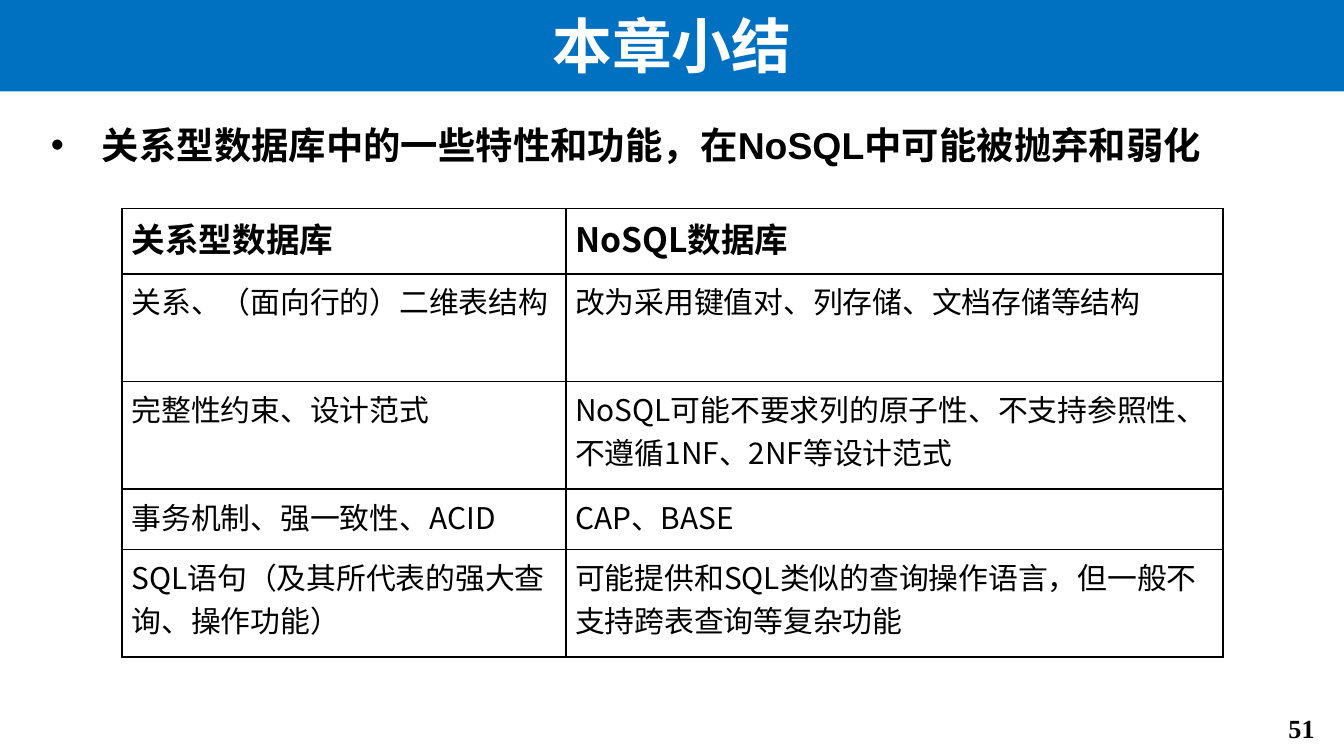
from dataclasses import dataclass

from lxml import etree
from pptx import Presentation
from pptx.dml.color import RGBColor
from pptx.enum import text
from pptx.oxml import ns
from pptx.util import Inches, Pt


@dataclass(frozen=True)
class Theme:
    black: RGBColor = RGBColor(0, 0, 0)
    white: RGBColor = RGBColor(255, 255, 255)
    blue: RGBColor = RGBColor(0x00, 0x70, 0xC0)
    sans: str = "Arial"
    cjk: str = "Noto Sans CJK SC"
    serif: str = "Times New Roman"
    title: int = 32
    lead: int = 20
    header: int = 18
    body: int = 16
    number: int = 14


theme = Theme()


def add_run(p, content, size, font, color=theme.black, bold=True):
    r = p.add_run()
    r.text = content
    r.font.size = Pt(size)
    r.font.name = font
    r.font.bold = bold
    r.font.color.rgb = color
    ea = etree.SubElement(r.font._element, ns.qn("a:ea"))
    ea.set("typeface", theme.cjk)


def add_borders(cell, color, width):
    tc_pr = cell._tc.get_or_add_tcPr()
    for side in ("lnL", "lnR", "lnT", "lnB"):
        ln = etree.SubElement(tc_pr, ns.qn(f"a:{side}"), w=str(width))
        fill = etree.SubElement(ln, ns.qn("a:solidFill"))
        etree.SubElement(fill, ns.qn("a:srgbClr"), val=str(color))


prs = Presentation()
prs.slide_width = Inches(10)
prs.slide_height = Inches(10 * 9 / 16)
s = prs.slides.add_slide(prs.slide_layouts[5])

# Title band
title = s.shapes.title
title.left, title.top = Inches(0), Inches(-0.02)
title.width, title.height = Inches(10), Inches(0.7)
title.fill.solid()
title.fill.fore_color.rgb = theme.blue
tf = title.text_frame
tf.auto_size = text.MSO_AUTO_SIZE.NONE
tf.vertical_anchor = text.MSO_ANCHOR.MIDDLE
p = tf.paragraphs[0]
p.alignment = text.PP_ALIGN.CENTER
add_run(p, "本章小结", theme.title, theme.sans, theme.white)

# Lead bullet
lead = s.shapes.add_textbox(Inches(0.28), Inches(0.86), Inches(9.37), Inches(4.16))
tf = lead.text_frame
tf.word_wrap = True
p = tf.paragraphs[0]
p.space_before = Pt(0.2 * theme.lead)
p_pr = p._p.get_or_add_pPr()
p_pr.set("marL", str(Inches(0.38)))
p_pr.set("indent", str(Inches(-0.38)))
etree.SubElement(p_pr, ns.qn("a:buFont"), typeface=theme.sans)
etree.SubElement(p_pr, ns.qn("a:buChar"), char="•")
add_run(p, "关系型数据库中的一些特性和功能，在NoSQL中可能被抛弃和弱化", theme.lead, theme.sans)

# Comparison table
rows = [
    ("关系型数据库", "NoSQL数据库"),
    ("关系、（面向行的）二维表结构", "改为采用键值对、列存储、文档存储等结构"),
    ("完整性约束、设计范式", "NoSQL可能不要求列的原子性、不支持参照性、不遵循1NF、2NF等设计范式"),
    ("事务机制、强一致性、ACID", "CAP、BASE"),
    ("SQL语句（及其所代表的强大查询、操作功能）",
     "可能提供和SQL类似的查询操作语言，但一般不支持跨表查询等复杂功能"),
]
col_widths = (3.3, 4.89)
row_heights = (0.49, 0.8, 0.8, 0.45, 0.8)
table = s.shapes.add_table(
    len(rows), len(col_widths), Inches(0.91), Inches(1.55),
    Inches(sum(col_widths)), Inches(sum(row_heights))).table
table.first_row = False
table.horz_banding = False
for col, width in zip(table.columns, col_widths):
    col.width = Inches(width)
for row, height in zip(table.rows, row_heights):
    row.height = Inches(height)

for i, row in enumerate(rows):
    is_header = i == 0
    size = theme.header if is_header else theme.body
    for j, content in enumerate(row):
        cell = table.cell(i, j)
        add_borders(cell, theme.black, Pt(1))
        cell.fill.solid()
        cell.fill.fore_color.rgb = theme.white
        cell.margin_left = cell.margin_right = Inches(0.07)
        cell.margin_top = cell.margin_bottom = Inches(0.04)
        p = cell.text_frame.paragraphs[0]
        p.space_before = Pt(0.2 * size)
        add_run(p, content, size, theme.cjk, bold=is_header)

# Page number
number = s.shapes.add_textbox(Inches(9.25), Inches(5.25), Inches(0.63), Inches(0.34))
tf = number.text_frame
tf.word_wrap = True
p = tf.paragraphs[0]
p.alignment = text.PP_ALIGN.RIGHT
p.space_before = Pt(0.2 * theme.number)
add_run(p, "51", theme.number, theme.serif)

prs.save("out.pptx")
